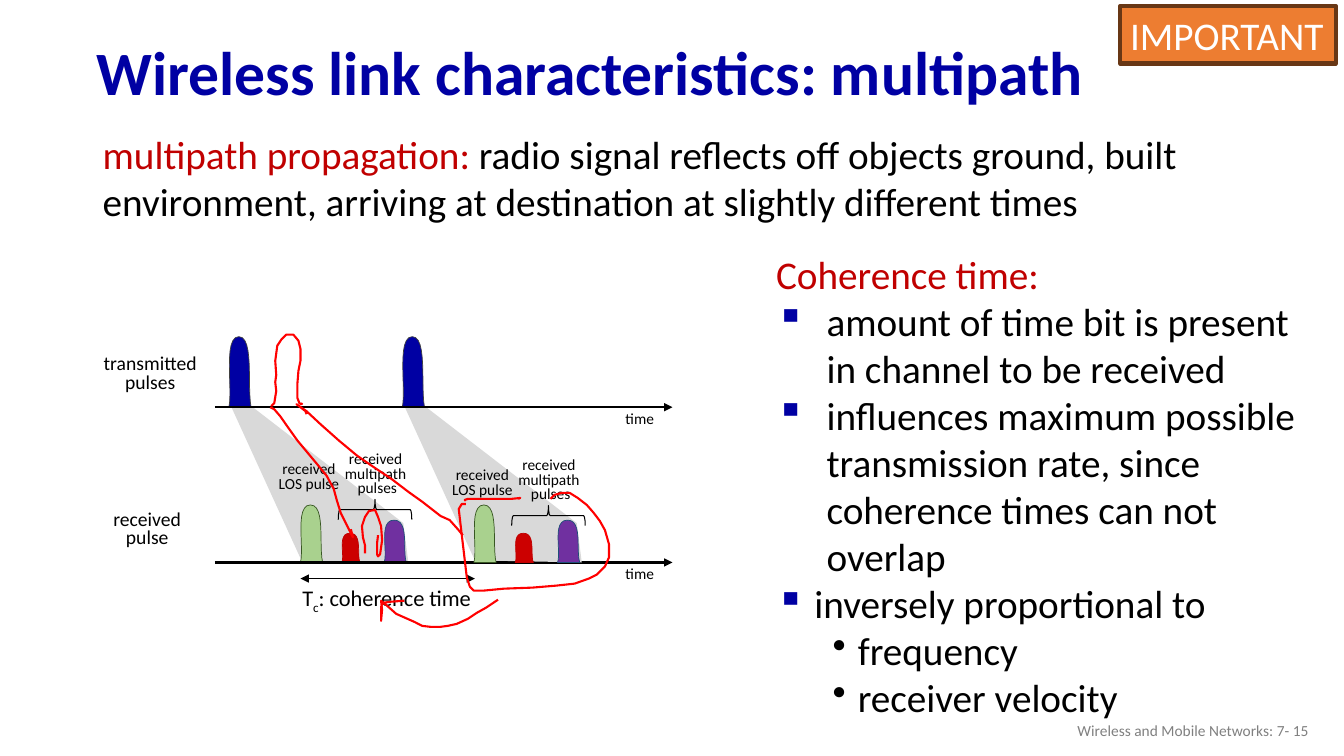
from lxml.etree import SubElement
from pptx import Presentation
from pptx.dml.color import RGBColor
from pptx.enum.shapes import MSO_CONNECTOR, MSO_SHAPE
from pptx.enum.text import MSO_ANCHOR, PP_ALIGN
from pptx.oxml.ns import qn
from pptx.util import Inches, Pt

THEME = {
    "font": "Calibri",
    "navy": "0000A3", "accent": "C00000", "text": "000000", "muted": "808080", "white": "FFFFFF",
    "ink": "FF0000", "shadow": "D9D9D9", "orange": "ED7D31", "orange_edge": "683715",
    "sent": ("0000A3", "404040"), "los": ("A9D18E", "385723"),
    "short_echo": ("CC0000", "C00000"), "long_echo": ("7030A0", "1F4E79"),
    "title": 44, "body": 28, "caption": 16, "row": 14, "small": 11,
}

TITLE = "Wireless link characteristics: multipath"
INTRO = [("multipath propagation: ", "accent"),
         ("radio signal reflects off objects ground, built environment, "
          "arriving at destination at slightly different times", "text")]
COHERENCE = [
    ("Coherence time:", "accent", None, 0, 0),
    ("amount of time bit is present in channel to be received", "text", "▪", 0.5, 0.5),
    ("influences maximum possible transmission rate, since coherence times can not overlap",
     "text", "▪", 0.5, 0.5),
    ("inversely proportional to", "text", "▪", 0.38, 0.38),
    ("frequency", "text", "•", 0.81, 0.25),
    ("receiver velocity", "text", "•", 0.81, 0.25),
]
FOOTER = "Wireless and Mobile Networks: 7- 15"

AXES = (4.04, 5.58)
ROW_LABELS = [(["transmitted", "pulses"], (0.92, 3.48, 1.14, 0.48)),
              (["received", "pulse"], (1.02, 5.02, 0.88, 0.48))]
SENT_PULSE = (2.27, 0.22, 0.7)
RECEIVED_PULSES = [("los", 2.98, 0.22, 0.57), ("short_echo", 3.39, 0.18, 0.29),
                   ("long_echo", 3.81, 0.22, 0.42)]
WEDGE = [(2.99, 5.56), (2.3, 4.05), (2.52, 4.05), (4, 5.19), (4.05, 5.58)]
ECHO_LABELS = [(["received", "LOS pulse"], (2.66, 4.54, 0.81, 0.4)),
               (["received", "multipath", " pulses"], (3.32, 4.44, 0.81, 0.55))]
PERIOD = 1.72
LABEL_DROP = 0.06
PULSE_CURVES = [((0, 1), (0.18, 0.75), (-0.27, 0), (0.45, 0)),
                ((0.45, 0), (1.14, 0), (0.82, 0.71), (1, 1))]

INK_STROKES = [
    [(4.94, 5.95), (4.91, 5.97), (4.82, 6.03), (4.73, 6.08), (4.64, 6.14), (4.53, 6.19), (4.44, 6.21),
     (4.36, 6.22), (4.28, 6.22), (4.19, 6.21), (4.11, 6.17), (4.02, 6.13), (3.93, 6.09), (3.84, 6.01),
     (3.78, 5.96), (3.79, 6.05), (3.78, 6.16), (3.78, 6.02), (3.8, 5.98), (3.88, 5.97), (4.01, 5.96)],
    [(4.62, 5), (4.58, 5), (4.55, 5.05), (4.57, 5.22), (4.59, 5.39), (4.61, 5.56), (4.63, 5.73),
     (4.66, 5.82), (4.7, 5.86), (4.79, 5.86), (5, 5.84), (5.28, 5.83), (5.52, 5.81), (5.7, 5.79),
     (5.84, 5.74), (5.92, 5.7), (6, 5.62), (6.04, 5.53), (6.04, 5.4), (6, 5.26), (5.95, 5.17),
     (5.89, 5.09), (5.82, 5.01), (5.73, 4.94), (5.65, 4.89), (5.57, 4.89), (5.5, 4.91), (5.46, 4.95)],
    [(4.62, 4.97), (4.61, 4.96), (4.64, 4.95), (5.07, 4.95), (5.16, 4.94), (5.14, 4.95)],
    [(2.69, 4.03), (2.72, 4), (2.74, 3.88), (2.73, 3.79), (2.74, 3.72), (2.73, 3.58), (2.75, 3.43),
     (2.79, 3.37), (2.84, 3.32), (2.91, 3.32), (2.96, 3.38), (2.98, 3.46), (2.98, 3.58), (2.96, 3.68),
     (2.95, 3.8), (2.95, 3.95), (2.97, 4), (2.99, 4.01), (3, 4)],
    [(2.68, 4.04), (2.72, 4.06), (2.78, 4.13), (2.85, 4.23), (2.95, 4.37), (3.05, 4.49), (3.15, 4.61),
     (3.24, 4.72), (3.31, 4.85), (3.34, 4.96), (3.38, 5.09), (3.43, 5.19), (3.5, 5.33), (3.48, 5.25)],
    [(3.04, 4.11), (3.03, 4.08), (2.94, 4.01), (3.04, 4.08), (3.18, 4.21), (3.36, 4.37), (3.54, 4.52),
     (3.67, 4.61), (3.76, 4.67), (3.88, 4.75), (4.05, 4.88), (4.19, 4.98), (4.37, 5.12), (4.46, 5.16),
     (4.54, 5.25), (4.59, 5.31)],
    [(3.62, 5.49), (3.62, 5.41), (3.6, 5.33), (3.59, 5.22), (3.62, 5.13), (3.66, 5.07), (3.72, 5.06),
     (3.75, 5.13), (3.78, 5.22), (3.79, 5.36), (3.77, 5.5), (3.75, 5.52), (3.74, 5.5), (3.74, 5.39),
     (3.75, 5.31)],
]

prs = Presentation()
prs.slide_width, prs.slide_height = Inches(13.33), Inches(7.5)
slide = prs.slides.add_slide(prs.slide_layouts[6])
shapes = slide.shapes


def rgb(name):
    return RGBColor.from_string(THEME.get(name, name))


def add_run(p, text, size, color="text", bold=False):
    r = p.add_run()
    r.text = text
    r.font.name, r.font.size, r.font.bold = THEME["font"], Pt(THEME[size]), bold
    r.font.color.rgb = rgb(color)
    return r


def add_box(at, wrap=True, anchor=MSO_ANCHOR.TOP):
    tf = shapes.add_textbox(*map(Inches, at)).text_frame
    tf.word_wrap, tf.vertical_anchor = wrap, anchor
    return tf


def set_indent(p, left, hanging=0, bullet=None):
    pPr = p._p.get_or_add_pPr()
    pPr.set("marL", str(Inches(left)))
    pPr.set("indent", str(-Inches(hanging)))
    if bullet:
        if bullet == "▪":
            color = SubElement(SubElement(pPr, qn("a:buClr")), qn("a:srgbClr"))
            color.set("val", THEME["navy"])
        SubElement(pPr, qn("a:buChar")).set("char", bullet)


def add_label(lines, at, size):
    tf = add_box(at, wrap=False)
    for i, line in enumerate(lines):
        p = tf.add_paragraph() if i else tf.paragraphs[0]
        p.alignment, p.line_spacing = PP_ALIGN.CENTER, 0.8
        add_run(p, line, size)


def add_arrow(x1, x2, y, width, ends):
    line = shapes.add_connector(MSO_CONNECTOR.STRAIGHT, *map(Inches, (x1, y, x2, y))).line
    line.color.rgb, line.width = rgb("text"), Pt(width)
    ln = line._get_or_add_ln()
    for end in ends:
        SubElement(ln, qn(end)).set("type", "triangle")
    SubElement(ln.getparent(), qn("a:effectLst"))


def add_outline(points, fill=None, edge=None, width=0.5):
    pts = [(Inches(x), Inches(y)) for x, y in points]
    builder = shapes.build_freeform(*pts[0])
    builder.add_line_segments(pts[1:], close=fill is not None)
    sp = builder.convert_to_shape()
    sp.shadow.inherit = False
    if fill:
        sp.fill.solid()
        sp.fill.fore_color.rgb = rgb(fill)
    else:
        sp.fill.background()
    if edge:
        sp.line.color.rgb, sp.line.width = rgb(edge), Pt(width)
    else:
        sp.line.fill.background()


def add_pulse(kind, x, w, h, base):
    points = []
    for curve in PULSE_CURVES:
        for t in (i / 12 for i in range(13)):
            weights = ((1 - t) ** 3, 3 * t * (1 - t) ** 2, 3 * t * t * (1 - t), t ** 3)
            px, py = (sum(k * c[a] for k, c in zip(weights, curve)) for a in (0, 1))
            points.append((x + w * px, base - h * (1 - py)))
    add_outline(points, *THEME[kind])


def add_echoes(dx, drop):
    add_outline([(x + dx, y) for x, y in WEDGE], "shadow")
    for kind, x, w, h in RECEIVED_PULSES:
        add_pulse(kind, x + dx, w, h, AXES[1])
    for lines, (x, y, w, h) in ECHO_LABELS:
        add_label(lines, (x + dx, y + drop, w, h), "small")
    brace = shapes.add_shape(MSO_SHAPE.RIGHT_BRACE, *map(Inches, (3.62 + dx, 4.69 + drop, 0.2, 0.73)))
    brace.rotation, brace.shadow.inherit = 270, False
    brace.fill.background()
    brace.line.color.rgb, brace.line.width = rgb("text"), Pt(0.75)


p = add_box((0.86, 0.26, 11.5, 0.98), anchor=MSO_ANCHOR.MIDDLE).paragraphs[0]
p.line_spacing = 0.9
add_run(p, TITLE, "title", "navy", True)

p = add_box((0.47, 1.24, 11.89, 1.5)).paragraphs[0]
set_indent(p, 0.45)
for text, color in INTRO:
    add_run(p, text, "body", color)

add_arrow(2.98, 4.71, 5.74, 1.25, ("a:headEnd", "a:tailEnd"))
p = add_box((2.9, 5.75, 1.89, 0.37), wrap=False).paragraphs[0]
add_run(p, "T", "caption")
add_run(p, "c", "caption").font._element.set("baseline", "-25000")
add_run(p, ": coherence time", "caption")

tf = add_box((7.6, 2.43, 5.43, 4.81))
for i, (text, color, bullet, left, hanging) in enumerate(COHERENCE):
    p = tf.add_paragraph() if i else tf.paragraphs[0]
    p.level = int(bullet == "•")
    set_indent(p, left, hanging, bullet)
    add_run(p, text, "body", color)

x, w, h = SENT_PULSE
for dx in (0, PERIOD):
    add_pulse("sent", x + dx, w, h, AXES[0])
for lines, at in ROW_LABELS:
    add_label(lines, at, "row")
add_echoes(0, 0)
for y in AXES:
    add_arrow(2.13, 6.67, y, 1.5, ("a:tailEnd",))
    add_label(["time"], (6.1, y, 0.49, 0.25), "small")
add_echoes(PERIOD, LABEL_DROP)

p = add_box((10.08, 7.05, 3, 0.4), anchor=MSO_ANCHOR.MIDDLE).paragraphs[0]
p.alignment = PP_ALIGN.RIGHT
add_run(p, FOOTER, "small", "muted")

for stroke in INK_STROKES:
    add_outline(stroke, edge="ink", width=1.5)

badge = shapes.add_shape(MSO_SHAPE.RECTANGLE, *map(Inches, (11.11, 0.06, 2.14, 0.57)))
badge.shadow.inherit = False
badge.fill.solid()
badge.fill.fore_color.rgb = rgb("orange")
badge.line.color.rgb, badge.line.width = rgb("orange_edge"), Pt(3)
tf = badge.text_frame
tf.word_wrap, tf.vertical_anchor = False, MSO_ANCHOR.TOP
tf.paragraphs[0].alignment = PP_ALIGN.LEFT
add_run(tf.paragraphs[0], "IMPORTANT", "body", "white")

prs.save("out.pptx")
